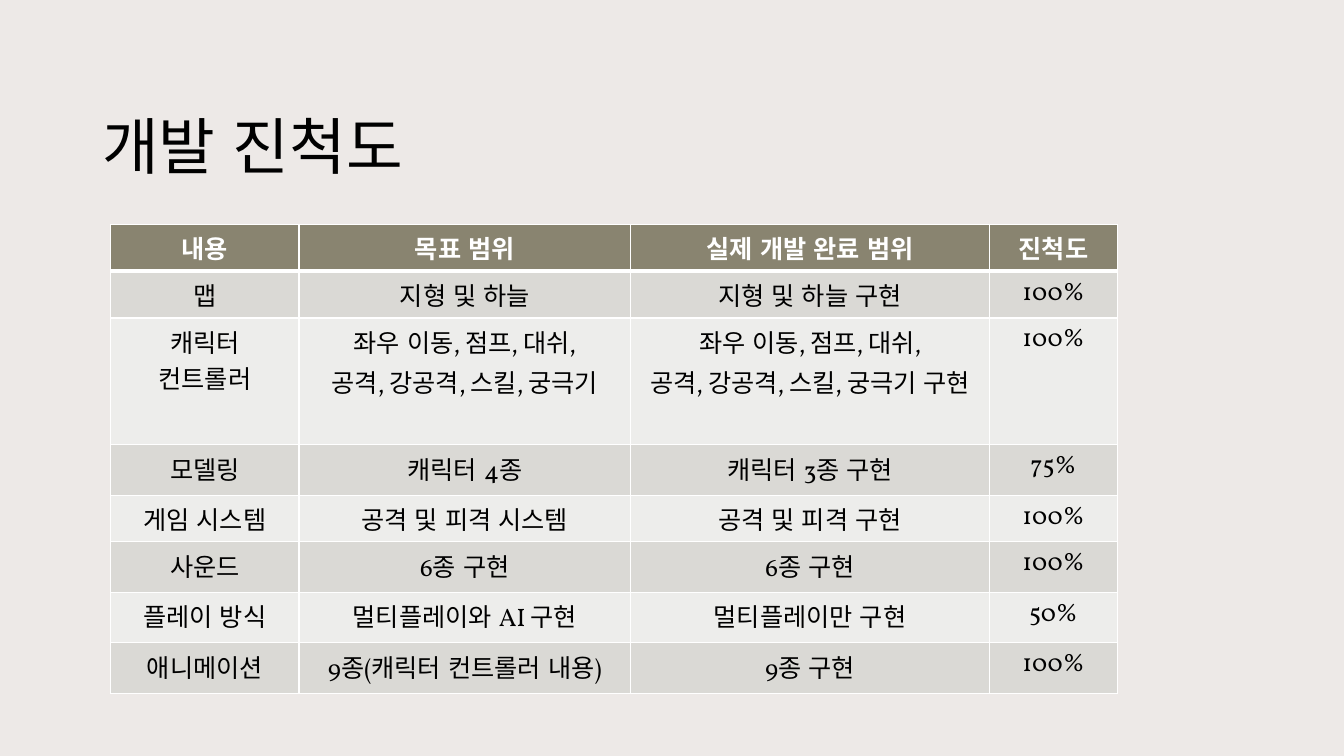
from lxml import etree
from pptx import Presentation
from pptx.dml.color import RGBColor
from pptx.enum.lang import MSO_LANGUAGE_ID
from pptx.enum.text import MSO_ANCHOR, PP_ALIGN
from pptx.oxml.ns import qn
from pptx.util import Pt

CENTER = PP_ALIGN.CENTER
BOTTOM = MSO_ANCHOR.BOTTOM
KOREAN = MSO_LANGUAGE_ID.KOREAN
COLORS = {"bg": "EDE9E7", "ink": "000000", "white": "FFFFFF",
          "header": "898470", "odd": "DAD9D5", "even": "EDEDEB"}
COLUMN_WIDTHS = [134.6, 236.9, 256.3, 91.4]
ROW_HEIGHTS = [33.2, 33.4, 90.7, 36.1, 33.2, 36.1, 36.1, 36.1]
ROWS = [
    ["내용", "목표 범위", "실제 개발 완료 범위", "진척도"],
    ["맵", "지형 및 하늘", "지형 및 하늘 구현", "100%"],
    ["캐릭터 컨트롤러", "좌우 이동, 점프, 대쉬,\n공격, 강공격, 스킬, 궁극기",
     "좌우 이동, 점프, 대쉬,\n공격, 강공격, 스킬, 궁극기 구현", "100%"],
    ["모델링", "캐릭터 4종", "캐릭터 3종 구현", "75%"],
    ["게임 시스템", "공격 및 피격 시스템", "공격 및 피격 구현", "100%"],
    ["사운드", "6종 구현", "6종 구현", "100%"],
    ["플레이 방식", "멀티플레이와 AI 구현", "멀티플레이만 구현", "50%"],
    ["애니메이션", "9종(캐릭터 컨트롤러 내용)", "9종 구현", "100%"],
]


def rgb(name):
    """Return the named colour."""
    return RGBColor.from_string(COLORS[name])


def add_run(p, text, font, size, color, bold=False):
    """Add one formatted run to a paragraph."""
    r = p.add_run()
    r.text = text
    r.font.name = font
    r.font.size = Pt(size)
    r.font.bold = bold
    r.font.language_id = KOREAN
    r.font.color.rgb = rgb(color)


def set_borders(cell, top, bottom):
    """Draw white borders around a cell, with its top and bottom widths."""
    tcPr = cell._tc.get_or_add_tcPr()
    for side, width in (("L", 1), ("R", 1), ("T", top), ("B", bottom)):
        ln = etree.SubElement(tcPr, qn(f"a:ln{side}"), w=str(Pt(width)))
        fill = etree.SubElement(ln, qn("a:solidFill"))
        etree.SubElement(fill, qn("a:srgbClr"), val=COLORS["white"])


def add_title(s, x, y, w, h):
    """Add the slide title at the bottom of its box."""
    tf = s.shapes.add_textbox(Pt(x), Pt(y), Pt(w), Pt(h)).text_frame
    tf.word_wrap = True
    tf.vertical_anchor = BOTTOM
    p = tf.paragraphs[0]
    p.line_spacing = 0.9
    add_run(p, "개발 진척도", "Calibri", 44, "ink")


def fill_cell(cell, text, row, margin):
    """Write and style one cell according to its row."""
    header = row == 0
    set_borders(cell, 3 if row == 1 else 1, 3 if header else 1)
    cell.fill.solid()
    cell.fill.fore_color.rgb = rgb("header" if header else "odd" if row % 2 else "even")
    cell.margin_left = cell.margin_right = Pt(margin)
    tf = cell.text_frame
    for i, line in enumerate(text.split("\n")):
        p = tf.add_paragraph() if i else tf.paragraphs[0]
        p.alignment = CENTER
        add_run(p, line, "Vollkorn", 18, "white" if header else "ink", header)


def add_progress_table(s, x, y):
    """Add the progress table with its top left corner at x, y."""
    frame = s.shapes.add_table(len(ROWS), len(COLUMN_WIDTHS), Pt(x), Pt(y),
                               Pt(sum(COLUMN_WIDTHS)), Pt(sum(ROW_HEIGHTS)))
    table = frame.table
    for column, width in zip(table.columns, COLUMN_WIDTHS):
        column.width = Pt(width)
    for i, texts in enumerate(ROWS):
        table.rows[i].height = Pt(ROW_HEIGHTS[i])
        for j, text in enumerate(texts):
            fill_cell(table.cell(i, j), text, i, 7.2 if j else 10)


def main():
    """Build the progress slide and save it."""
    prs = Presentation()
    prs.slide_width, prs.slide_height = Pt(960), Pt(540)
    s = prs.slides.add_slide(prs.slide_layouts[6])
    s.background.fill.solid()
    s.background.fill.fore_color.rgb = rgb("bg")
    add_title(s, 66, 46, 828, 88)
    add_progress_table(s, 79, 160.5)
    prs.save("out.pptx")


if __name__ == "__main__":
    main()
